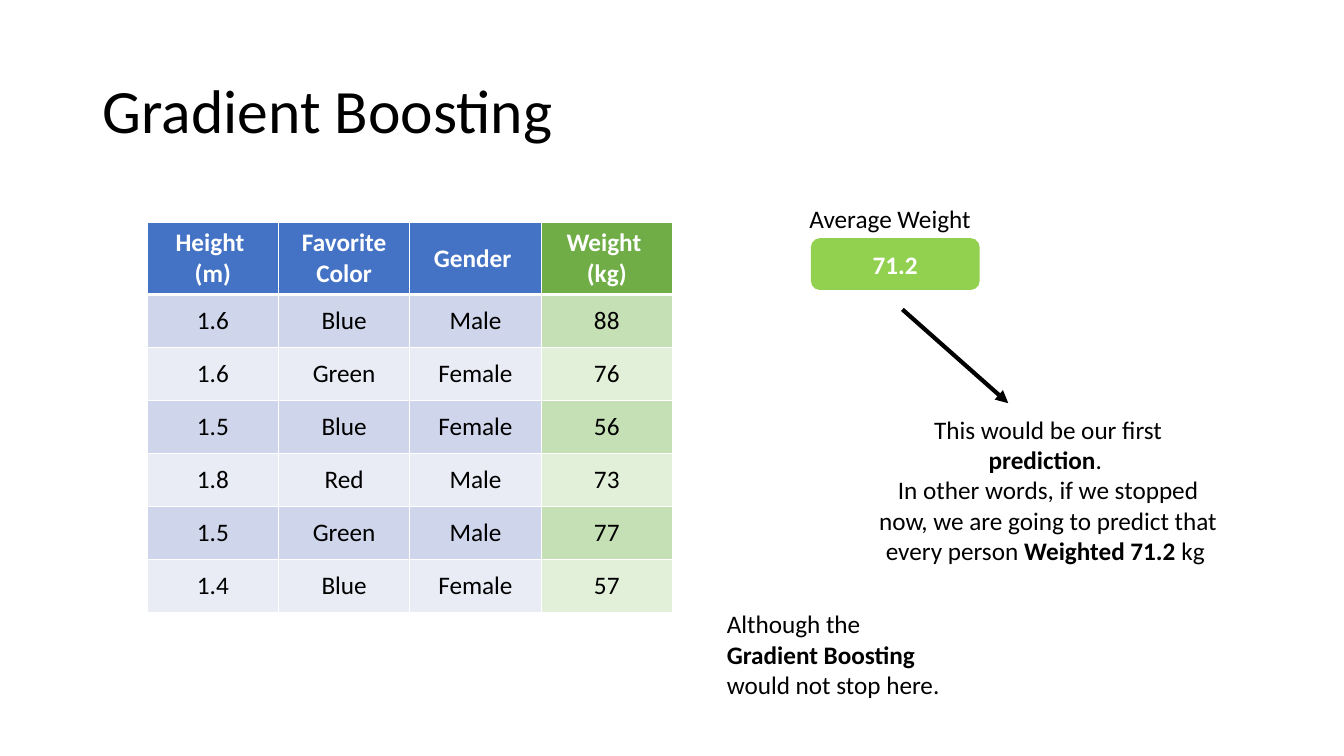
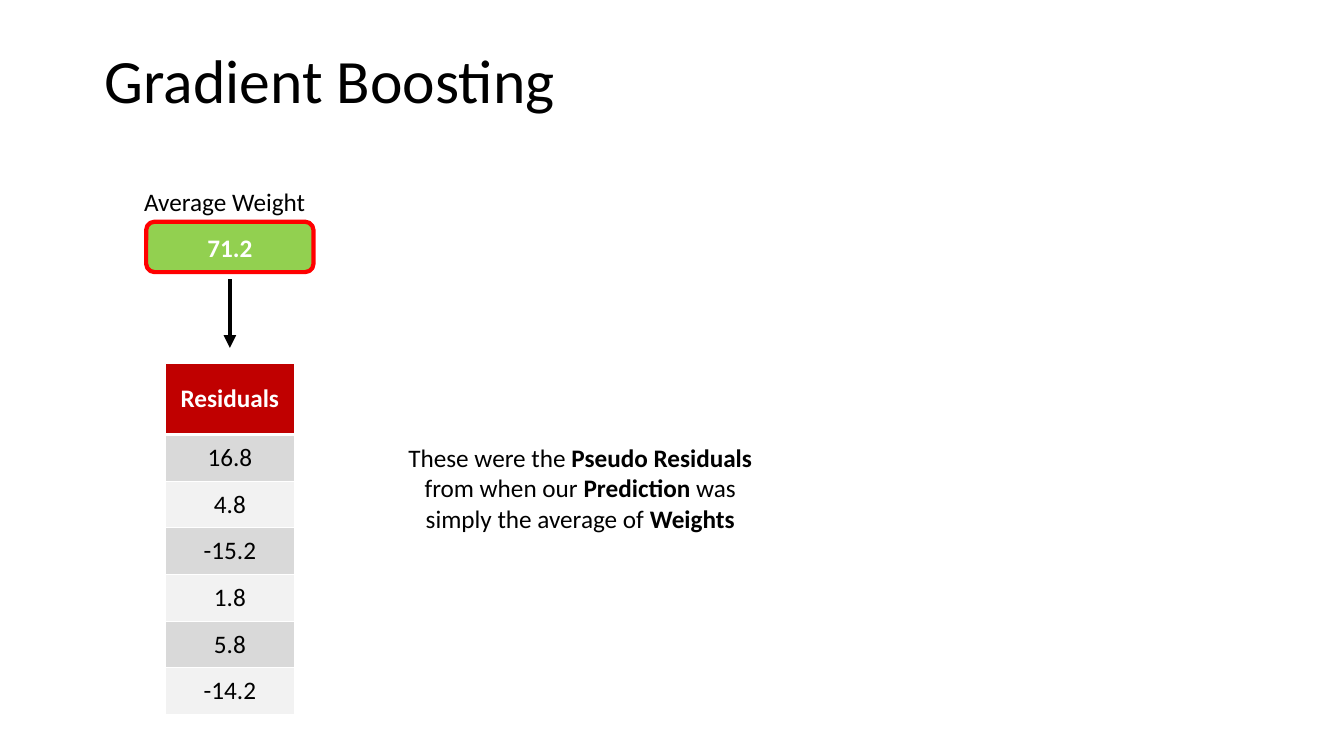
from lxml import etree
from pptx import Presentation
from pptx import util as u
from pptx.dml.color import RGBColor
from pptx.enum import shapes as kinds, text as t
from pptx.oxml.ns import qn

SCALE = 9144
FONT = "Calibri"
COLORS = {
    "black": "000000", "white": "FFFFFF", "red": "FF0000", "lime": "92D050",
    "blue": "4472C4", "blue_dark": "CFD5EA", "blue_light": "E9EBF5",
    "green": "70AD47", "green_dark": "C5E0B4", "green_light": "E2F0D9",
    "crimson": "C00000", "gray_dark": "D9D9D9", "gray_light": "F2F2F2",
}
BLUE_BANDS = ("blue", "blue_dark", "blue_light")
GREEN_BANDS = ("green", "green_dark", "green_light")
GRAY_BANDS = ("crimson", "gray_dark", "gray_light")
HEADER_HEIGHT = 70

TITLE = "Gradient Boosting"
SLIDES = [
    {
        "title": (92, 40, 863, 145),
        "table": {
            "place": (146, 221, 521, 386),
            "bands": [BLUE_BANDS] * 3 + [GREEN_BANDS],
            "rows": [
                ("Height \n(m)", "Favorite\nColor", "Gender ", "Weight \n(kg)"),
                ("1.6", "Blue", "Male", "88"),
                ("1.6", "Green", "Female", "76"),
                ("1.5", "Blue", "Female", "56"),
                ("1.8", "Red", "Male", "73"),
                ("1.5", "Green", "Male", "77"),
                ("1.4", "Blue", "Female", "57"),
            ],
        },
        "average": {"corner": (805, 237), "line": ("lime", 1)},
        "arrow": (895, 307, 1000, 400),
        "notes": [
            ((859, 406, 361, 162), "CENTER", [
                "This would be our first *prediction*. ",
                "In other words, if we stopped now, we are going to predict "
                "that every person *Weighted 71.2 *kg ",
            ]),
            ((711, 599, 239, 101), "LEFT",
             ["Although the *Gradient Boosting* would not stop here."]),
        ],
    },
    {
        "title": (94, 10, 863, 145),
        "table": {
            "place": (164, 361, 128, 348),
            "bands": [GRAY_BANDS],
            "rows": [("Residuals",), ("16.8",), ("4.8",), ("-15.2",),
                     ("1.8",), ("5.8",), ("-14.2",)],
        },
        "average": {"corner": (145, 220), "line": ("red", 3)},
        "arrow": (228, 277, 228, 345),
        "notes": [
            ((392, 434, 367, 101), "CENTER", [
                "These were the *Pseudo Residuals *from when our *Prediction* "
                "was simply the average of *Weights*",
            ]),
        ],
    },
]


def px(*lengths):
    return [u.Emu(round(length * SCALE)) for length in lengths]


def rgb(name):
    return RGBColor.from_string(COLORS[name])


def apply(target, values):
    for name, value in values.items():
        setattr(target, name, value)


def paint(fill, color):
    fill.solid()
    fill.fore_color.rgb = rgb(color)


def draw_line(line, color, width):
    paint(line.fill, color)
    line.width = u.Pt(width)


def write(frame, paragraphs, align="LEFT", size=18, color="black", bold=False, spacing=None):
    for index, content in enumerate(paragraphs):
        paragraph = frame.add_paragraph() if index else frame.paragraphs[0]
        apply(paragraph, {"alignment": getattr(t.PP_ALIGN, align), "line_spacing": spacing})
        for part, words in enumerate(content.split("*")):
            if words:
                run = paragraph.add_run()
                run.text = words
                apply(run.font, {"name": FONT, "size": u.Pt(size),
                                 "bold": bold or part % 2 == 1})
                run.font.color.rgb = rgb(color)


def add_title(slide, place):
    title = slide.shapes.title
    apply(title, dict(zip(("left", "top", "width", "height"), px(*place))))
    apply(title.text_frame, {"vertical_anchor": t.MSO_ANCHOR.MIDDLE, "word_wrap": True,
                             "auto_size": t.MSO_AUTO_SIZE.NONE})
    write(title.text_frame, [TITLE], size=44, spacing=0.9)


def add_note(shapes, place, align, paragraphs):
    box = shapes.add_textbox(*px(*place))
    apply(box.text_frame, {"word_wrap": True, "auto_size": t.MSO_AUTO_SIZE.SHAPE_TO_FIT_TEXT})
    write(box.text_frame, paragraphs, align)


def add_average(shapes, corner, line):
    left, top = corner
    box = shapes.add_shape(kinds.MSO_SHAPE.ROUNDED_RECTANGLE, *px(left, top, 166, 50))
    box.shadow.inherit = False
    paint(box.fill, "lime")
    draw_line(box.line, *line)
    box.text_frame.vertical_anchor = t.MSO_ANCHOR.MIDDLE
    write(box.text_frame, ["71.2"], "CENTER", color="white", bold=True)
    add_note(shapes, (left - 12, top - 40, 191, 40), "LEFT", ["Average Weight"])


def add_arrow(shapes, ends):
    arrow = shapes.add_connector(kinds.MSO_CONNECTOR.STRAIGHT, *px(*ends))
    draw_line(arrow.line, "black", 3)
    etree.SubElement(arrow.line._get_or_add_ln(), qn("a:tailEnd"), type="triangle")
    etree.SubElement(arrow._element.spPr, qn("a:effectLst"))


def add_borders(cell, row):
    widths = {"L": 1, "R": 1, "T": 3 if row == 1 else 1, "B": 3 if row == 0 else 1}
    properties = cell._tc.get_or_add_tcPr()
    for side, width in widths.items():
        border = etree.SubElement(properties, qn("a:ln" + side), w=str(u.Pt(width)))
        fill = etree.SubElement(border, qn("a:solidFill"))
        etree.SubElement(fill, qn("a:srgbClr"), val=COLORS["white"])


def add_data_table(shapes, place, bands, rows):
    width, height = place[2:]
    table = shapes.add_table(len(rows), len(bands), *px(*place)).table
    for column in table.columns:
        column.width = px(width / len(bands))[0]
    body_height = (height - HEADER_HEIGHT) / (len(rows) - 1)
    for row, values in enumerate(rows):
        header = row == 0
        table.rows[row].height = px(HEADER_HEIGHT if header else body_height)[0]
        for column, value in enumerate(values):
            cell = table.cell(row, column)
            cell.vertical_anchor = t.MSO_ANCHOR.MIDDLE
            add_borders(cell, row)
            paint(cell.fill, bands[column][0 if header else 2 - row % 2])
            write(cell.text_frame, value.split("\n"), "CENTER",
                  color="white" if header else "black", bold=header)


def main():
    presentation = Presentation()
    presentation.slide_width, presentation.slide_height = px(1333, 750)
    for content in SLIDES:
        slide = presentation.slides.add_slide(presentation.slide_layouts[5])
        add_title(slide, content["title"])
        add_data_table(slide.shapes, **content["table"])
        add_average(slide.shapes, **content["average"])
        add_arrow(slide.shapes, content["arrow"])
        for note in content["notes"]:
            add_note(slide.shapes, *note)
    presentation.save("out.pptx")


if __name__ == "__main__":
    main()
